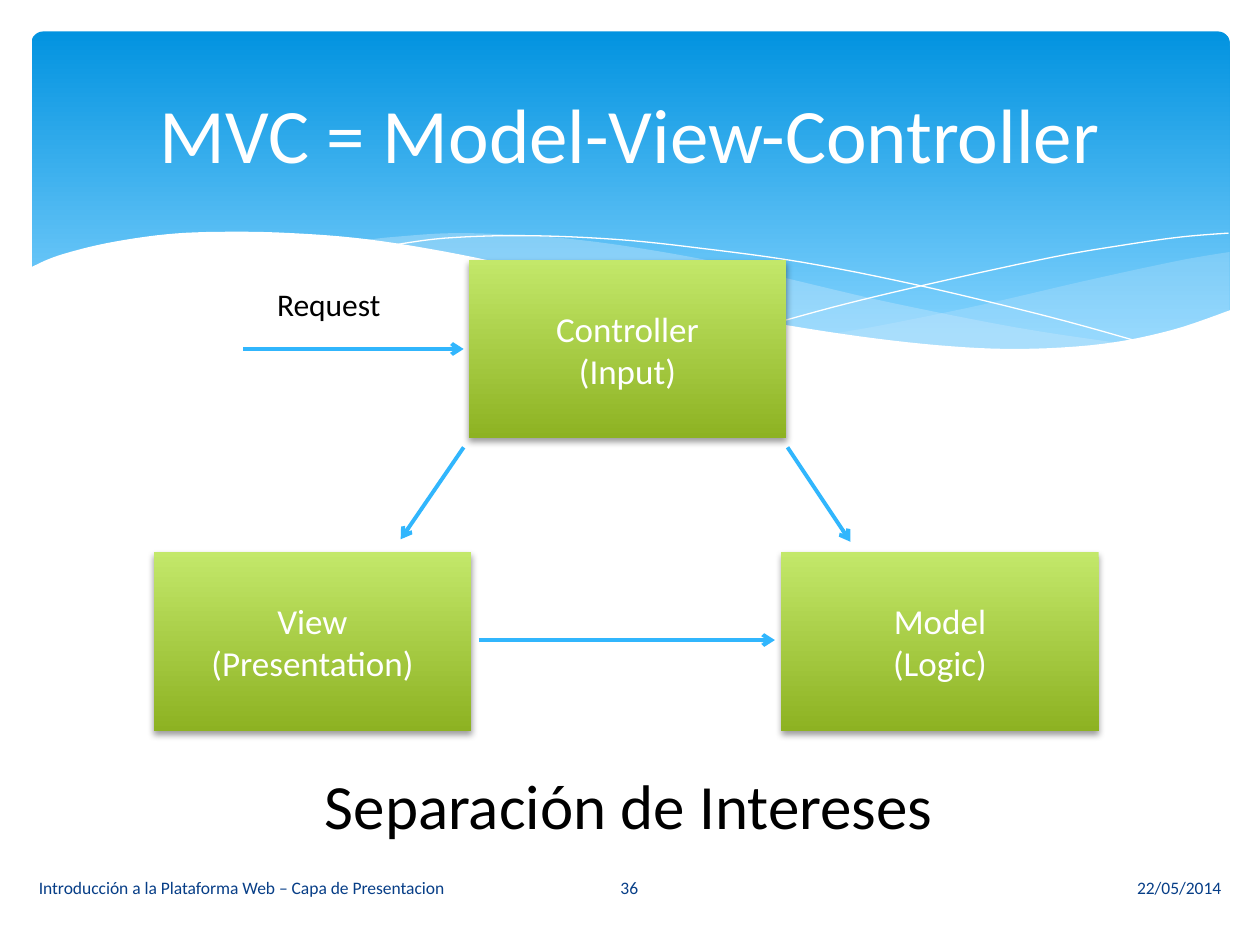
from lxml import etree
from pptx import Presentation
from pptx import util as u
from pptx.dml.color import RGBColor
from pptx.enum import shapes, text
from pptx.oxml.ns import qn

FONT = "Calibri"
WHITE, BLACK, NAVY, SKY, PALE = "FFFFFF", "000000", "073E87", "31B6FD", "C6E7FC"
LEFT, CENTER, RIGHT = text.PP_ALIGN.LEFT, text.PP_ALIGN.CENTER, text.PP_ALIGN.RIGHT


def color(code):
    return RGBColor.from_string(code)


def smooth(knots, steps=6):
    """Points of a Catmull-Rom curve through the knots."""
    padded = [knots[0], *knots, knots[-1]]
    points = [knots[0]]
    for a, b, c, d in zip(padded, padded[1:], padded[2:], padded[3:]):
        for step in range(1, steps + 1):
            t = step / steps
            points.append(tuple(
                (2 * q + (r - p) * t + (2 * p - 5 * q + 4 * r - s) * t ** 2
                 + (3 * q - p - 3 * r + s) * t ** 3) / 2
                for p, q, r, s in zip(a, b, c, d)))
    return points


class Painter:
    def __init__(self, page):
        self.page = page

    def set_words(self, shape, words, size, code, align):
        frame = shape.text_frame
        frame.word_wrap = True
        frame.vertical_anchor = text.MSO_ANCHOR.MIDDLE
        frame.text = words
        for para in frame.paragraphs:
            para.alignment = align
            for span in para.runs:
                span.font.name = FONT
                span.font.size = u.Pt(size)
                span.font.color.rgb = color(code)

    def label(self, words, left, top, width, height, size, code, align=LEFT):
        box = self.page.shapes.add_textbox(*map(u.Inches, (left, top, width, height)))
        self.set_words(box, words, size, code, align)

    def panel(self, kind, left, top, width, height, top_code, low_code, end=1.0):
        box = self.page.shapes.add_shape(kind, *map(u.Inches, (left, top, width, height)))
        box.shadow.inherit = False
        box.line.fill.background()
        box.fill.gradient()
        box.fill.gradient_angle = 270
        for stop, code, place in zip(box.fill.gradient_stops, (top_code, low_code), (0, end)):
            stop.color.rgb = color(code)
            stop.position = place
        return box

    def block(self, words, left, top):
        box = self.panel(shapes.MSO_SHAPE.RECTANGLE, left, top, 2.52, 1.42, "C3E86A", "8DB222")
        effects = box._element.spPr.find(qn("a:effectLst"))
        shadow = etree.SubElement(effects, qn("a:outerShdw"), blurRad=str(u.Pt(4)),
                                  dist=str(u.Pt(2)), dir="5400000", rotWithShape="0")
        tint = etree.SubElement(shadow, qn("a:srgbClr"), val=BLACK)
        etree.SubElement(tint, qn("a:alpha"), val="38000")
        self.set_words(box, words, 20, WHITE, CENTER)

    def outline(self, points, closed):
        spots = [(u.Inches(x), u.Inches(y)) for x, y in points]
        builder = self.page.shapes.build_freeform(*spots[0], scale=1.0)
        builder.add_line_segments(spots[1:], close=closed)
        shape = builder.convert_to_shape()
        shape.shadow.inherit = False
        return shape

    def wave(self, points, code, alpha=100):
        shape = self.outline(points, True)
        shape.line.fill.background()
        shape.fill.solid()
        shape.fill.fore_color.rgb = color(code)
        if alpha < 100:
            tint = shape._element.spPr.find(qn("a:solidFill")).find(qn("a:srgbClr"))
            etree.SubElement(tint, qn("a:alpha"), val=str(alpha * 1000))

    def thread(self, knots):
        shape = self.outline(smooth(knots), False)
        shape.fill.background()
        shape.line.color.rgb = color(WHITE)
        shape.line.width = u.Pt(0)

    def arrow(self, *ends):
        connector = self.page.shapes.add_connector(shapes.MSO_CONNECTOR.STRAIGHT,
                                                   *map(u.Inches, ends))
        connector.line.color.rgb = color(SKY)
        connector.line.width = u.Pt(2.25)
        properties = connector._element.spPr
        etree.SubElement(properties.find(qn("a:ln")), qn("a:tailEnd"), type="arrow")
        etree.SubElement(properties, qn("a:effectLst"))


def main():
    deck = Presentation()
    deck.slide_width, deck.slide_height = u.Inches(10), u.Inches(7.5)
    painter = Painter(deck.slides.add_slide(deck.slide_layouts[6]))

    # Blue banner
    banner = painter.panel(shapes.MSO_SHAPE.ROUNDED_RECTANGLE, 0.25, 0.25, 9.51, 2.7,
                           "0293E0", "83D3FE", 0.9)
    banner.adjustments[0] = 0.034

    # Translucent waves
    painter.wave(
        smooth([(9.76, 2), (9.35, 2.07), (8.61, 2.23), (7.79, 2.42), (7.06, 2.57), (6.61, 2.65)])
        + smooth([(6.61, 2.65), (7.19, 2.72), (7.69, 2.77), (8.14, 2.78), (8.63, 2.75),
                  (9.13, 2.67), (9.49, 2.57), (9.76, 2.47)]), PALE, 29)
    painter.wave(
        smooth([(8.93, 2.73), (8.07, 2.6), (7.06, 2.4), (6.29, 2.22), (5.69, 2.08),
                (5.14, 1.98), (4.65, 1.91), (4.2, 1.87), (3.61, 1.85), (3.13, 1.88), (2.86, 1.91)])
        + smooth([(2.86, 1.91), (3.42, 1.99), (4.04, 2.11), (4.91, 2.32), (5.66, 2.48),
                  (6.34, 2.61), (6.95, 2.7), (7.48, 2.76), (8.07, 2.78), (8.57, 2.77),
                  (8.93, 2.73)]), PALE, 40)

    # Thin white threads
    painter.thread([(3.09, 1.95), (3.53, 1.89), (4.16, 1.87), (4.89, 1.9), (5.56, 1.97),
                    (6.36, 2.08), (7.27, 2.26), (8.31, 2.51), (9.07, 2.72)])
    painter.thread([(6.13, 2.57), (6.72, 2.41), (7.48, 2.23), (8.36, 2.04), (8.95, 1.94),
                    (9.38, 1.88), (9.75, 1.85)])

    # White wave that cuts the banner
    painter.wave(
        smooth([(9.77, 2.46), (9.3, 2.62), (8.75, 2.73), (8.09, 2.77), (7.44, 2.74),
                (6.68, 2.65), (5.79, 2.5), (5.03, 2.33), (4.47, 2.2), (3.65, 2.02),
                (2.92, 1.9), (2.3, 1.85), (1.77, 1.84), (1.32, 1.86), (0.85, 1.93),
                (0.46, 2.03), (0.23, 2.13)]) + [(0.23, 3.29), (9.77, 3.29)], WHITE)

    painter.label("MVC = Model-View-Controller", 0.5, 0.37, 9, 1.37, 44, WHITE, CENTER)

    # The three MVC parts
    painter.block("Controller\n(Input)", 3.72, 2.06)
    painter.block("Model\n(Logic)", 6.2, 4.38)
    painter.block("View\n(Presentation)", 1.22, 4.38)

    # Flow between them
    painter.arrow(6.25, 3.55, 6.75, 4.3)
    painter.arrow(3.68, 3.55, 3.18, 4.28)
    painter.arrow(3.8, 5.08, 6.15, 5.08)
    painter.arrow(1.93, 2.77, 3.68, 2.77)
    painter.label("Request", 2.1, 2.21, 1.09, 0.4, 18, BLACK)
    painter.label("Separación de Intereses", 2.48, 6.03, 5.3, 0.71, 36, BLACK)

    # Footer
    for words, left, width, align in (
            ("22/05/2014", 5.65, 4.14, RIGHT),
            ("Introducción a la Plataforma Web – Capa de Presentacion", 0.21, 4.14, LEFT),
            ("36", 4.36, 1.27, CENTER)):
        painter.label(words, left, 6.84, width, 0.4, 10, NAVY, align)

    deck.save("out.pptx")


if __name__ == "__main__":
    main()
